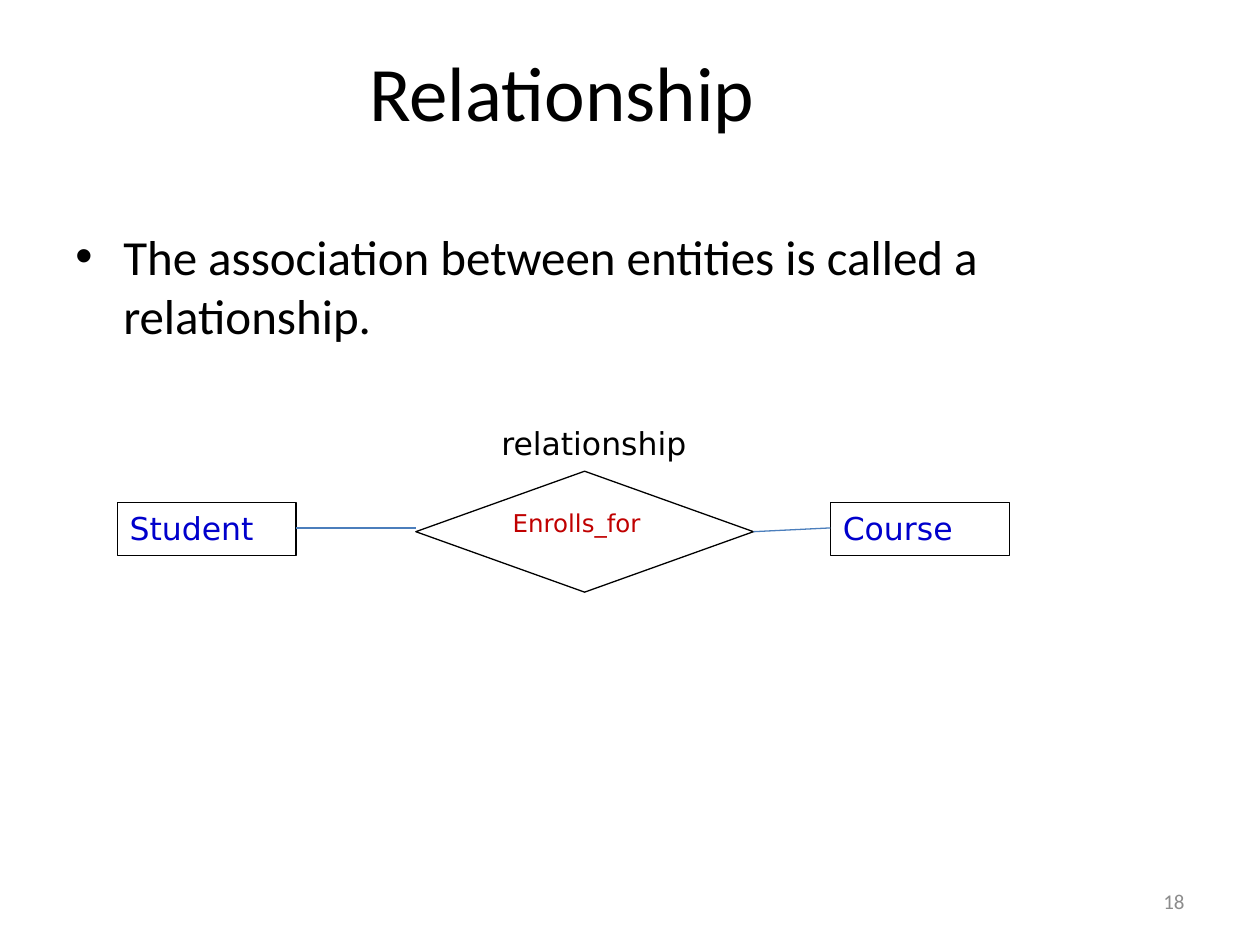
from lxml.etree import SubElement
from pptx import Presentation
from pptx.dml.color import RGBColor
from pptx.enum.shapes import MSO_CONNECTOR as Conn, MSO_SHAPE as Kind
from pptx.enum.text import MSO_ANCHOR as Anchor, PP_ALIGN as Align
from pptx.oxml.ns import qn
from pptx.util import Inches, Pt


def color(code):
    return RGBColor.from_string(code)


def write(shape, text, size, code, font="Calibri", align=Align.LEFT,
          anchor=Anchor.TOP, wrap=True):
    """Put one styled run in the shape and return its paragraph."""
    frame = shape.text_frame
    frame.word_wrap = wrap
    frame.vertical_anchor = anchor
    para = frame.paragraphs[0]
    para.alignment = align
    run = para.add_run()
    run.text = text
    run.font.name = font
    run.font.size = Pt(size)
    run.font.color.rgb = color(code)
    return para


deck = Presentation()
deck.slide_width, deck.slide_height = Inches(10), Inches(7.5)
slide = deck.slides.add_slide(deck.slide_layouts[6])
shapes = slide.shapes

# Title and definition
title = shapes.add_textbox(Inches(0.5), Inches(0.35), Inches(7.92), Inches(0.74))
write(title, "Relationship", 44, "000000", align=Align.CENTER, anchor=Anchor.MIDDLE)

body = shapes.add_textbox(Inches(0.5), Inches(1.75), Inches(7.92), Inches(5.3))
para = write(body, "The association between entities is called a relationship.",
             28, "000000")
props = para._p.get_or_add_pPr()
props.set("marL", str(Inches(0.38)))
props.set("indent", str(-Inches(0.38)))
SubElement(props, qn("a:buFont"), typeface="Arial")
SubElement(props, qn("a:buChar"), char="•")

# Entities and the relationship between them
nodes = [
    (Kind.RECTANGLE, 0.93, 3.99, 1.42, 0.42, "Student", 18, "0000CC"),
    (Kind.DIAMOND, 3.3, 3.74, 2.68, 0.96, "Enrolls_for", 14, "C00000"),
    (Kind.RECTANGLE, 6.59, 3.99, 1.42, 0.42, "Course", 18, "0000CC"),
]
for kind, left, top, width, height, text, size, code in nodes:
    node = shapes.add_shape(kind, Inches(left), Inches(top),
                            Inches(width), Inches(height))
    node.shadow.inherit = False
    node.fill.background()
    node.line.color.rgb = color("000000")
    node.line.width = Pt(0.75)
    write(node, text, size, code, "DejaVu Sans")

for x1, y1, x2, y2 in [(2.35, 4.19, 3.3, 4.19), (5.98, 4.22, 6.59, 4.19)]:
    link = shapes.add_connector(Conn.STRAIGHT, Inches(x1), Inches(y1),
                                Inches(x2), Inches(y2))
    link.line.color.rgb = color("4B7EBC")
    link.line.width = Pt(0.75)
    SubElement(link._element.spPr, qn("a:effectLst"))

label = shapes.add_textbox(Inches(3.88), Inches(3.32), Inches(1.68), Inches(0.4))
write(label, "relationship", 18, "000000", "DejaVu Sans", wrap=False)

number = shapes.add_textbox(Inches(7.17), Inches(6.95), Inches(2.33), Inches(0.4))
write(number, "18", 12, "8C8C8C", align=Align.RIGHT, anchor=Anchor.MIDDLE)

deck.save("out.pptx")
